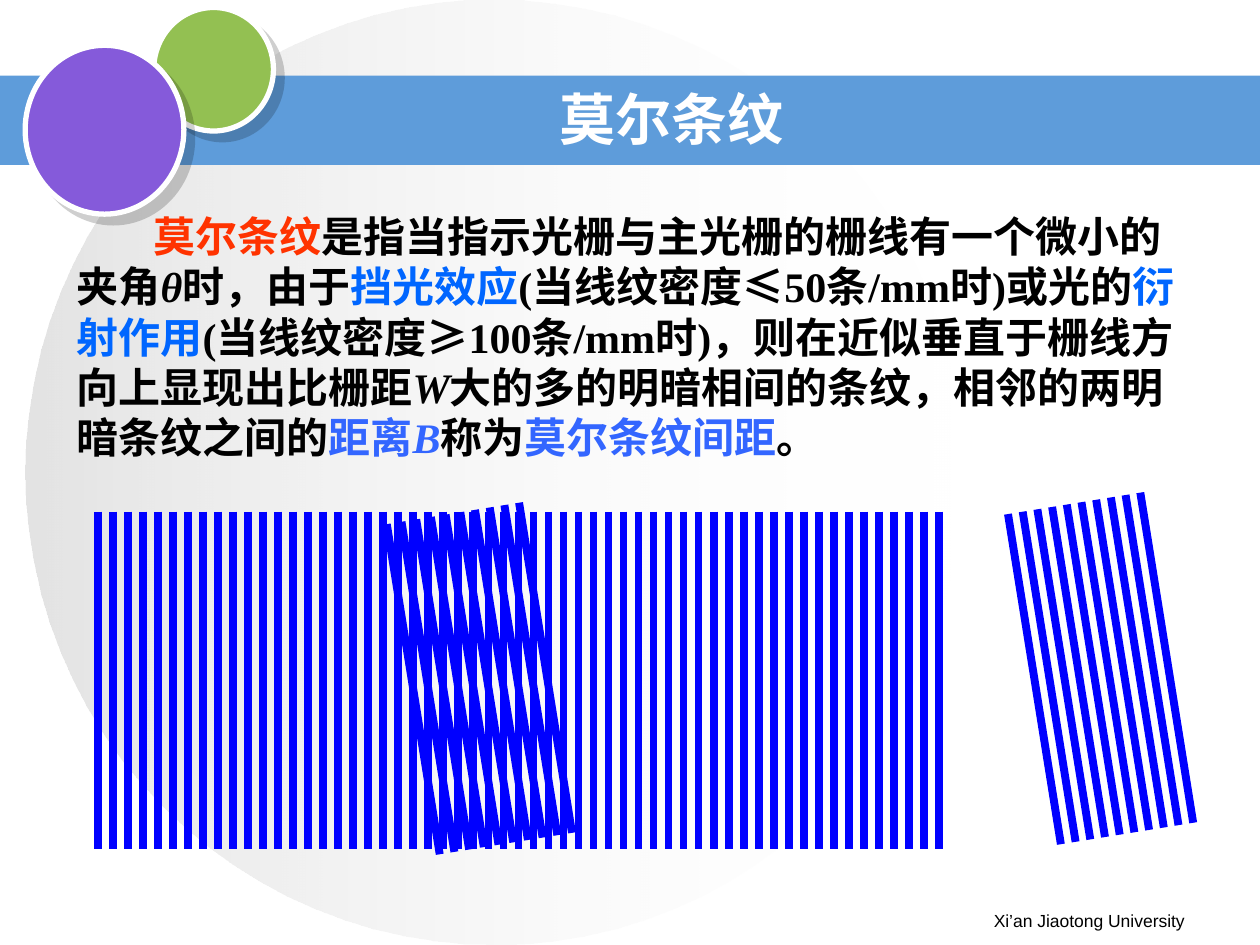
from dataclasses import dataclass
from typing import Any, Optional

import pptx
import pptx.dml.color
import pptx.enum.shapes
import pptx.enum.text
import pptx.oxml.ns
import pptx.util
from lxml import etree
from pptx.util import Inches

SHAPES = pptx.enum.shapes.MSO_SHAPE
ALIGN = pptx.enum.text.PP_ALIGN
ANCHOR = pptx.enum.text.MSO_ANCHOR
AUTO_SIZE = pptx.enum.text.MSO_AUTO_SIZE
qn = pptx.oxml.ns.qn


@dataclass(frozen=True)
class Theme:
    white: str = "FFFFFF"
    black: str = "000000"
    silver: str = "C0C0C0"
    bar: str = "5E9CDA"
    green: str = "93C052"
    purple: str = "855ADA"
    grating: str = "0000FF"
    term: str = "FF3300"
    effect: str = "0066FF"
    spacing: str = "3366FF"
    heading_font: str = "Arial"
    body_font: str = "Times New Roman"
    title_size: int = 32
    body_size: int = 24
    footer_size: int = 10
    grating_width: float = 4.5
    outline_width: float = 3


THEME = Theme()


@dataclass(frozen=True)
class Box:
    left: float
    top: float
    width: float
    height: float

    def lengths(self) -> tuple:
        return tuple(Inches(n) for n in (self.left, self.top, self.width, self.height))


@dataclass(frozen=True)
class Run:
    text: str
    color: str = THEME.black
    italic: bool = False


@dataclass(frozen=True)
class Grating:
    """Parallel lines: the first starts at (left, top), each next one is a step away."""
    count: int
    left: float
    top: float
    run: float
    drop: float
    step_x: float
    step_y: float


BACKDROP = Box(0.2, 0, 7.44, 7.5)
BAR = Box(0, 0.6, 10, 0.71)
DISCS = [(Box(1.22, 0.06, 0.95, 0.98), THEME.green),
         (Box(0.2, 0.36, 1.26, 1.34), THEME.purple)]
TITLE = Box(2.25, 0.67, 6.58, 0.53)
DEFINITION = Box(0.51, 1.62, 9.13, 2.1)
FOOTER = Box(7.17, 7.17, 2.33, 0.27)

TILT = dict(count=10, run=0.42, drop=2.62, step_x=1.05 / 9, step_y=-0.17 / 9)
GRATINGS = [
    Grating(count=57, left=0.78, top=4.06, run=0, drop=2.68, step_x=6.67 / 56, step_y=0),
    Grating(left=8, top=4.08, **TILT),
    Grating(left=3.07, top=4.16, **TILT),
]

DEFINITION_RUNS = [
    Run("莫尔条纹", THEME.term),
    Run("是指当指示光栅与主光栅的栅线有一个微小的夹角"),
    Run("θ", italic=True),
    Run("时，由于"),
    Run("挡光效应", THEME.effect),
    Run("(当线纹密度≤50条/mm时)或光的"),
    Run("衍射作用", THEME.effect),
    Run("(当线纹密度≥100条/mm时)，则在近似垂直于栅线方向上显现出比栅距"),
    Run("W", italic=True),
    Run("大的多的明暗相间的条纹，相邻的两明暗条纹之间的"),
    Run("距离", THEME.spacing),
    Run("B", THEME.spacing, italic=True),
    Run("称为"),
    Run("莫尔条纹间距", THEME.spacing),
    Run("。"),
]


def rgb(color: str) -> Any:
    return pptx.dml.color.RGBColor.from_string(color)


def apply_format(target: Any, values: dict) -> None:
    for name, value in values.items():
        setattr(target, name, value)


def add_child(parent: Any, tag: str, **attributes: Any) -> Any:
    return etree.SubElement(parent, qn(tag), {k: str(v) for k, v in attributes.items()})


def add_plain_shape(slide: Any, kind: Any, box: Box, color: Optional[str] = None) -> Any:
    shape = slide.shapes.add_shape(kind, *box.lengths())
    shape.shadow.inherit = False
    shape.line.fill.background()
    if color:
        shape.fill.solid()
        shape.fill.fore_color.rgb = rgb(color)
    return shape


def add_backdrop(slide: Any) -> None:
    """Large circle that fades out from left to right."""
    shape = add_plain_shape(slide, SHAPES.OVAL, BACKDROP)
    shape.fill.gradient()
    shape.fill.gradient_angle = 0
    for stop, color in zip(shape.fill.gradient_stops, (THEME.silver, THEME.white)):
        stop.color.rgb = rgb(color)
    colors = shape.element.spPr.iter(qn("a:srgbClr"))
    for element, opacity in zip(colors, (44000, 0)):
        add_child(element, "a:alpha", val=opacity)


def add_disc(slide: Any, box: Box, color: str) -> None:
    """Circle with a white outline and a hard shadow down to the right."""
    shape = add_plain_shape(slide, SHAPES.OVAL, box, color)
    shape.line.color.rgb = rgb(THEME.white)
    shape.line.width = pptx.util.Pt(THEME.outline_width)
    effects = shape.element.spPr.find(qn("a:effectLst"))
    shadow = add_child(effects, "a:outerShdw", blurRad=0, dist=pptx.util.Pt(7.1),
                       dir=45 * 60000, algn="ctr", rotWithShape=0)
    shadow_color = add_child(shadow, "a:srgbClr", val=THEME.black)
    add_child(shadow_color, "a:alpha", val=19000)


def add_grating(slide: Any, grating: Grating) -> None:
    group = slide.shapes.add_group_shape()
    for index in range(grating.count):
        x = grating.left + index * grating.step_x
        y = grating.top + index * grating.step_y
        line = group.shapes.add_connector(
            pptx.enum.shapes.MSO_CONNECTOR.STRAIGHT, Inches(x), Inches(y),
            Inches(x + grating.run), Inches(y + grating.drop))
        line.line.color.rgb = rgb(THEME.grating)
        line.line.width = pptx.util.Pt(THEME.grating_width)
        add_child(line.element.spPr, "a:effectLst")


def write_runs(paragraph: Any, runs: list, font: str, size: int, bold: bool) -> None:
    for item in runs:
        run = paragraph.add_run()
        run.text = item.text
        apply_format(run.font, {"name": font, "size": pptx.util.Pt(size),
                                "bold": bold, "italic": item.italic})
        run.font.color.rgb = rgb(item.color)


def add_text(slide: Any, box: Box, frame_format: dict) -> Any:
    shape = slide.shapes.add_textbox(*box.lengths())
    apply_format(shape.text_frame, {"word_wrap": True, **frame_format})
    return shape.text_frame.paragraphs[0]


def format_title(slide: Any) -> None:
    title = slide.shapes.title
    apply_format(title, dict(zip(("left", "top", "width", "height"), TITLE.lengths())))
    apply_format(title.text_frame, {
        "word_wrap": True, "auto_size": AUTO_SIZE.NONE, "vertical_anchor": ANCHOR.MIDDLE,
        "margin_right": Inches(0.52)})
    paragraph = title.text_frame.paragraphs[0]
    paragraph.alignment = ALIGN.CENTER
    write_runs(paragraph, [Run("莫尔条纹", THEME.white)],
               THEME.heading_font, THEME.title_size, True)
    slide.shapes.element.append(title.element)  # bring in front of the bar


def main() -> None:
    presentation = pptx.Presentation()
    presentation.slide_width, presentation.slide_height = Inches(10), Inches(7.5)
    slide = presentation.slides.add_slide(presentation.slide_layouts[5])

    add_backdrop(slide)
    add_plain_shape(slide, SHAPES.RECTANGLE, BAR, THEME.bar)
    for box, color in DISCS:
        add_disc(slide, box, color)

    footer = add_text(slide, FOOTER, {})
    footer.alignment = ALIGN.RIGHT
    write_runs(footer, [Run("Xi’an Jiaotong University")],
               THEME.heading_font, THEME.footer_size, False)

    definition = add_text(slide, DEFINITION, {"auto_size": AUTO_SIZE.SHAPE_TO_FIT_TEXT})
    definition._p.get_or_add_pPr().set("indent", str(Inches(0.61)))
    write_runs(definition, DEFINITION_RUNS, THEME.body_font, THEME.body_size, True)

    for grating in GRATINGS:
        add_grating(slide, grating)
    format_title(slide)
    presentation.save("out.pptx")


if __name__ == "__main__":
    main()
